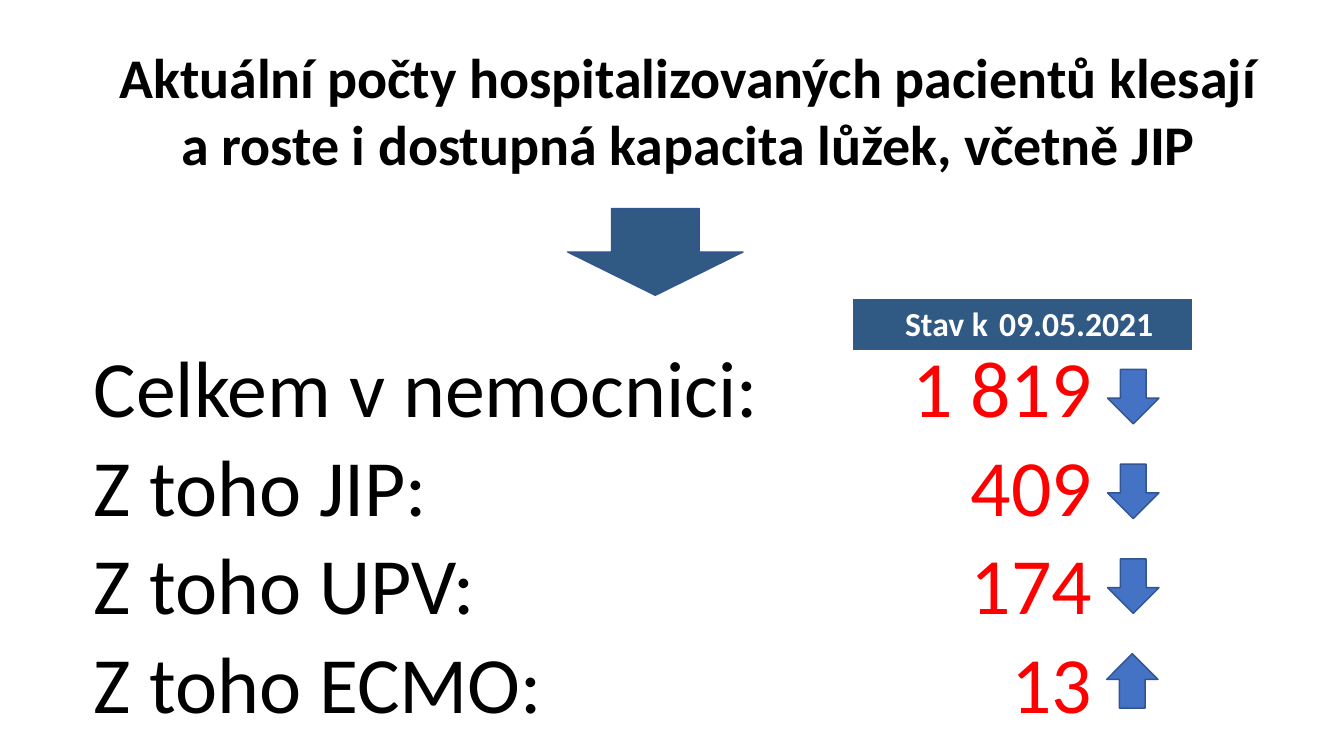
from dataclasses import dataclass

import pptx
import pptx.dml.color
import pptx.enum.shapes
import pptx.enum.text
import pptx.oxml.ns
import pptx.util

Inches = pptx.util.Inches
Align = pptx.enum.text.PP_ALIGN
Anchor = pptx.enum.text.MSO_ANCHOR
Shape = pptx.enum.shapes.MSO_SHAPE

COLORS = {
    "text": "000000",
    "value": "FF0000",
    "header_text": "FFFFFF",
    "header": "305983",
    "trend": "4472C4",
    "outline": "325491",
}
NO_STYLE_NO_GRID = "{2D5ABB26-0587-4C30-8999-92F81FD0307C}"
TIGHT_MARGINS = (0.01, 0.01, 0.01, 0)
DEFAULT_MARGINS = (0.1, 0.05, 0.1, 0.05)


@dataclass(frozen=True)
class Count:
    label: str
    value: str
    rising: bool
    arrow_left: float = 10.97


COUNTS = [
    Count("Celkem v nemocnici:", "1 819", False),
    Count("Z toho JIP:", "409", False),
    Count("Z toho UPV:", "174", False),
    Count("Z toho ECMO:", "13", True, 10.96),
]
ARROW_TOP, ARROW_PITCH = 3.68, 0.94


def rgb(name: str) -> pptx.dml.color.RGBColor:
    return pptx.dml.color.RGBColor.from_string(COLORS[name])


def write(frame, text: str, *, size: float, color: str, bold: bool = False,
          align=Align.LEFT) -> None:
    para = frame.paragraphs[0]
    para.text = text
    para.alignment = align
    for span in para.runs:
        span.font.name = "Calibri"
        span.font.size = pptx.util.Pt(size)
        span.font.bold = bold
        span.font.color.rgb = rgb(color)


def add_plain_table(page, left: float, top: float, widths: list[float],
                    row_height: float, row_count: int):
    """Add a table without style, borders or banding."""
    frame = page.shapes.add_table(
        row_count, len(widths), Inches(left), Inches(top),
        Inches(sum(widths)), Inches(row_height * row_count))
    for style in frame._element.iter(pptx.oxml.ns.qn("a:tableStyleId")):
        style.text = NO_STYLE_NO_GRID
    table = frame.table
    table.first_row = table.horz_banding = False
    for column, width in zip(table.columns, widths):
        column.width = Inches(width)
    return table


def fill_cell(cell, text: str, *, anchor=Anchor.BOTTOM, margins=TIGHT_MARGINS,
              fill: str | None = None, **text_format) -> None:
    (cell.margin_left, cell.margin_top,
     cell.margin_right, cell.margin_bottom) = map(Inches, margins)
    cell.vertical_anchor = anchor
    if fill:
        cell.fill.solid()
        cell.fill.fore_color.rgb = rgb(fill)
    else:
        cell.fill.background()
    write(cell.text_frame, text, **text_format)


def add_arrow(page, kind, left: float, top: float, width: float, height: float,
              fill: str, rotation: float = 0) -> None:
    arrow = page.shapes.add_shape(
        kind, Inches(left), Inches(top), Inches(width), Inches(height))
    arrow.rotation = rotation
    arrow.shadow.inherit = False
    arrow.fill.solid()
    arrow.fill.fore_color.rgb = rgb(fill)
    arrow.line.color.rgb = rgb("outline")
    arrow.line.width = pptx.util.Pt(1)


def add_title(page) -> None:
    box = page.shapes.add_textbox(
        Inches(0.74), Inches(0.37), Inches(12.17), Inches(1.45))
    box.text_frame.word_wrap = True
    box.text_frame.auto_size = pptx.enum.text.MSO_AUTO_SIZE.SHAPE_TO_FIT_TEXT
    write(box.text_frame,
          "Aktuální počty hospitalizovaných pacientů klesají\v"
          "a roste i dostupná kapacita lůžek, včetně JIP",
          size=40, color="text", bold=True, align=Align.CENTER)


def add_counts(page) -> None:
    table = add_plain_table(page, 0.92, 3.38, [7.85, 2.07], 0.87, len(COUNTS))
    for row, count in enumerate(COUNTS):
        fill_cell(table.cell(row, 0), count.label, size=57, color="text")
        fill_cell(table.cell(row, 1), count.value, size=57, color="value",
                  align=Align.RIGHT)


def add_trends(page) -> None:
    for row, count in enumerate(COUNTS):
        add_arrow(page, Shape.RIGHT_ARROW, count.arrow_left,
                  ARROW_TOP + row * ARROW_PITCH, 0.54, 0.51, "trend",
                  rotation=270 if count.rising else 90)


def add_date_header(page) -> None:
    table = add_plain_table(page, 8.46, 2.97, [1.44, 1.92], 0.41, 1)
    header = dict(size=24, color="header_text", bold=True, fill="header")
    fill_cell(table.cell(0, 0), "Stav k", anchor=Anchor.TOP,
              margins=DEFAULT_MARGINS, align=Align.RIGHT, **header)
    fill_cell(table.cell(0, 1), "09.05.2021", anchor=Anchor.MIDDLE, **header)


def main() -> None:
    deck = pptx.Presentation()
    deck.slide_width, deck.slide_height = Inches(13.33), Inches(7.5)
    page = deck.slides.add_slide(deck.slide_layouts[6])
    add_counts(page)
    add_arrow(page, Shape.DOWN_ARROW, 5.63, 2.07, 1.74, 0.86, "header")
    add_title(page)
    add_trends(page)
    add_date_header(page)
    deck.save("out.pptx")


if __name__ == "__main__":
    main()
